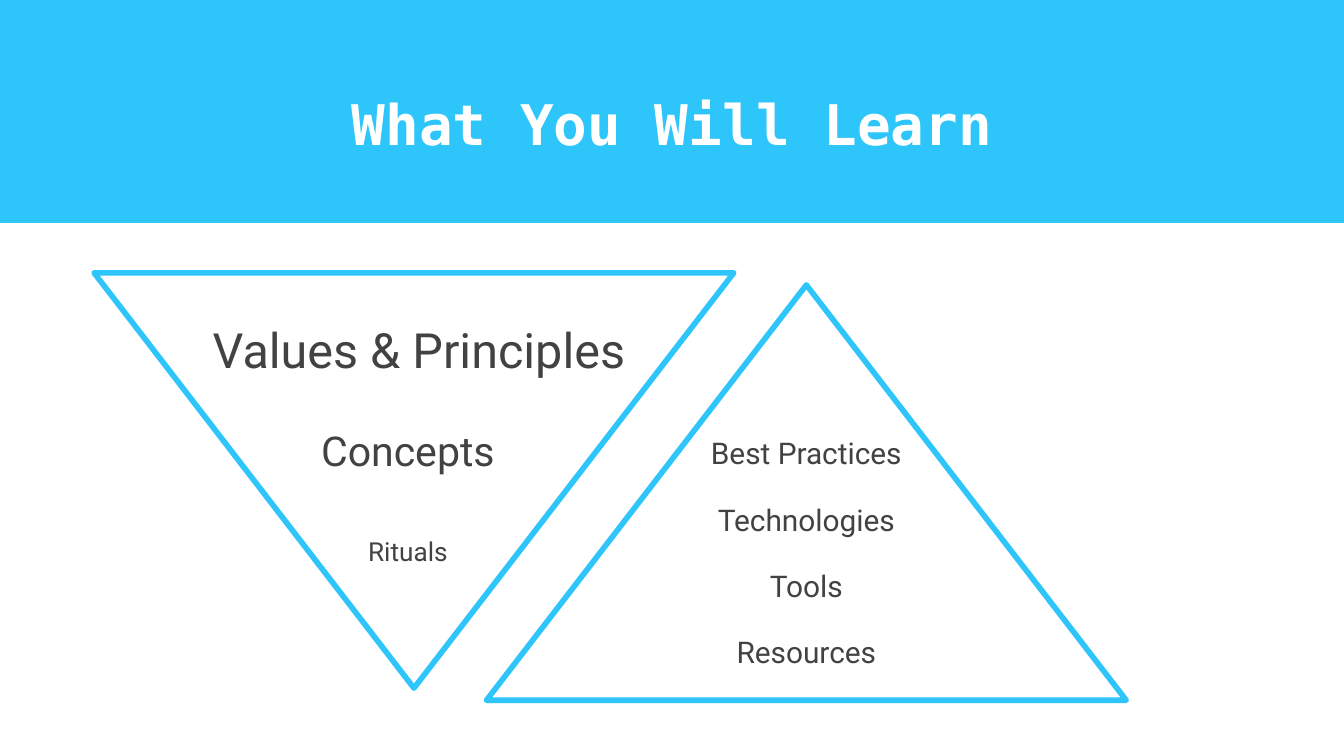
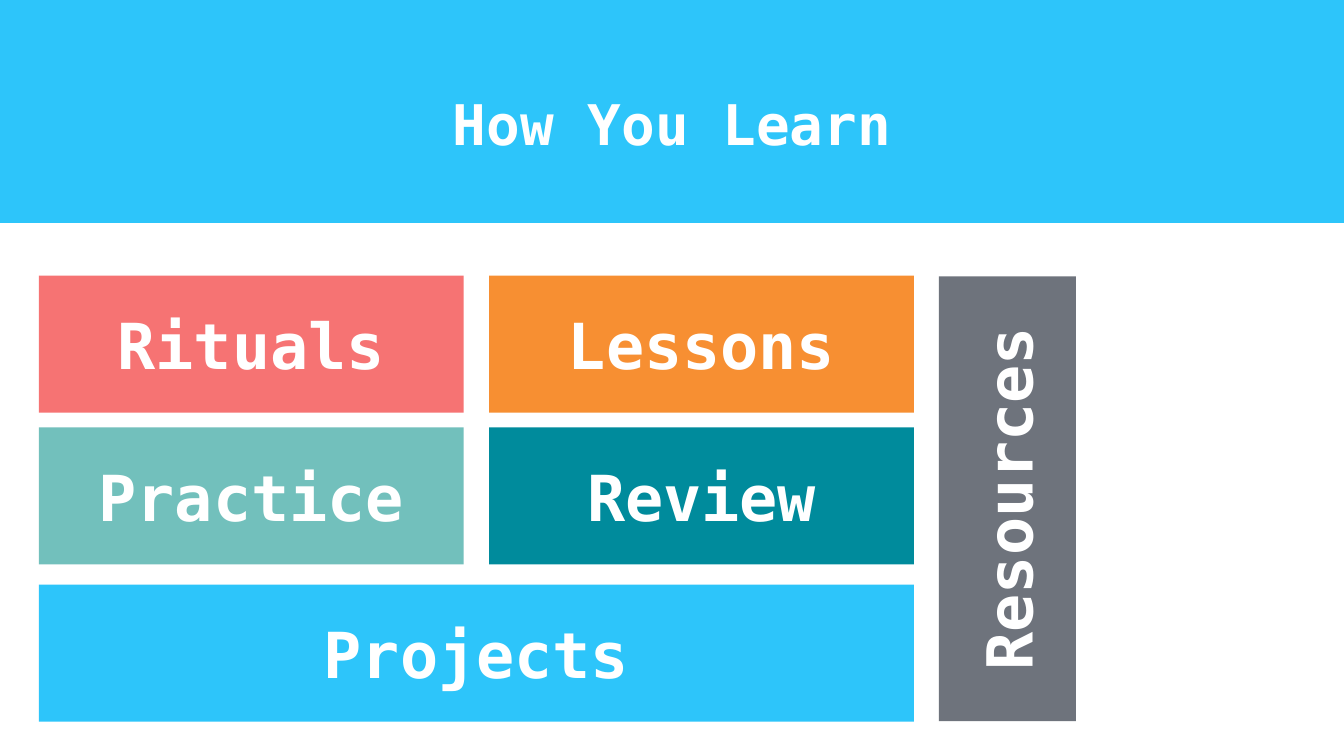
from lxml.etree import SubElement
from pptx import Presentation
from pptx.dml.color import RGBColor
from pptx.enum.shapes import MSO_SHAPE
from pptx.enum.text import MSO_ANCHOR, PP_ALIGN
from pptx.oxml.ns import qn
from pptx.util import Inches, Pt

SKY = RGBColor(0x2D, 0xC5, 0xFA)
CORAL = RGBColor(0xF6, 0x73, 0x73)
ORANGE = RGBColor(0xF7, 0x8F, 0x32)
MINT = RGBColor(0x72, 0xC0, 0xBC)
TEAL = RGBColor(0x00, 0x8B, 0x9C)
SLATE = RGBColor(0x6E, 0x73, 0x7C)
INK = RGBColor(0x42, 0x42, 0x42)
WHITE = RGBColor(0xFF, 0xFF, 0xFF)
MONO = "DejaVu Sans Mono"
SANS = "Roboto"

presentation = Presentation()
presentation.slide_width = Inches(10)
presentation.slide_height = Inches(5.625)
CELL = presentation.slide_width / 100


def add_block(slide, preset, column, row, columns, rows, fill=None):
    box = [round(cells * CELL) for cells in (column, row, columns, rows)]
    if preset is None:
        return slide.shapes.add_textbox(*box)
    shape = slide.shapes.add_shape(preset, *box)
    shape.shadow.inherit = False
    if fill is None:
        shape.fill.background()
        shape.line.color.rgb = SKY
        shape.line.width = Pt(3)
        SubElement(shape._element.spPr.find(qn("a:ln")), qn("a:round"))
    else:
        shape.fill.solid()
        shape.fill.fore_color.rgb = fill
        shape.line.fill.background()
    return shape


def write(shape, text, size, font=MONO, color=WHITE, bold=True):
    frame = shape.text_frame
    frame.word_wrap = True
    frame.vertical_anchor = MSO_ANCHOR.MIDDLE
    frame.margin_left = frame.margin_right = round(CELL)
    frame.margin_top = frame.margin_bottom = round(CELL)
    paragraph = frame.paragraphs[0]
    paragraph.alignment = PP_ALIGN.CENTER
    run = paragraph.add_run()
    run.text = text
    run.font.name = font
    run.font.size = Pt(size)
    run.font.bold = bold
    run.font.color.rgb = color
    return paragraph


slides = []
for title in ("What You Will Learn", "How You Learn"):
    slide = presentation.slides.add_slide(presentation.slide_layouts[6])
    add_block(slide, MSO_SHAPE.RECTANGLE, 0, 0, 100, 16.6, SKY)
    write(add_block(slide, None, 4.7, 3.5, 90.6, 11.4), title, 30)
    slides.append(slide)
topics_slide, methods_slide = slides

for column, row, rotation in ((36.2, 21.2, 0), (7, 20.3, 180)):
    triangle = add_block(topics_slide, MSO_SHAPE.ISOSCELES_TRIANGLE, column, row, 47.6, 30.9)
    triangle.rotation = rotation

foundations = (
    ("Values & Principles", 26, 11.2, 39),
    ("Concepts", 22, 16.5, 26.7),
    ("Rituals", 14, 23.1, 13.5),
)
for index, (text, size, column, columns) in enumerate(foundations):
    label = add_block(topics_slide, None, column, 22.5 + 7.5 * index, columns, 7)
    paragraph = write(label, text, size, SANS, INK, False)
    paragraph._p.get_or_add_pPr().set("indent", str(round(CELL)))

for index, text in enumerate(("Best Practices", "Technologies", "Tools", "Resources")):
    label = add_block(topics_slide, None, 48.2, 30.2 + 4.94 * index, 23.6, 7)
    write(label, text, 16, SANS, INK, False)

LEFT, RIGHT = 2.9, 36.4
TOP, MIDDLE, BOTTOM = 20.5, 31.8, 43.5
HALF, FULL = 31.6, 65.1
methods = (
    ("Rituals", CORAL, LEFT, TOP, HALF, 0),
    ("Lessons", ORANGE, RIGHT, TOP, HALF, 0),
    ("Practice", MINT, LEFT, MIDDLE, HALF, 0),
    ("Review", TEAL, RIGHT, MIDDLE, HALF, 0),
    ("Projects", SKY, LEFT, BOTTOM, FULL, 0),
    ("Resources", SLATE, 58.4, 32, 33.1, 270),
)
for text, color, column, row, columns, rotation in methods:
    tile = add_block(methods_slide, MSO_SHAPE.RECTANGLE, column, row, columns, 10.2, color)
    tile.rotation = rotation
    write(tile, text, 34)

presentation.save("out.pptx")
